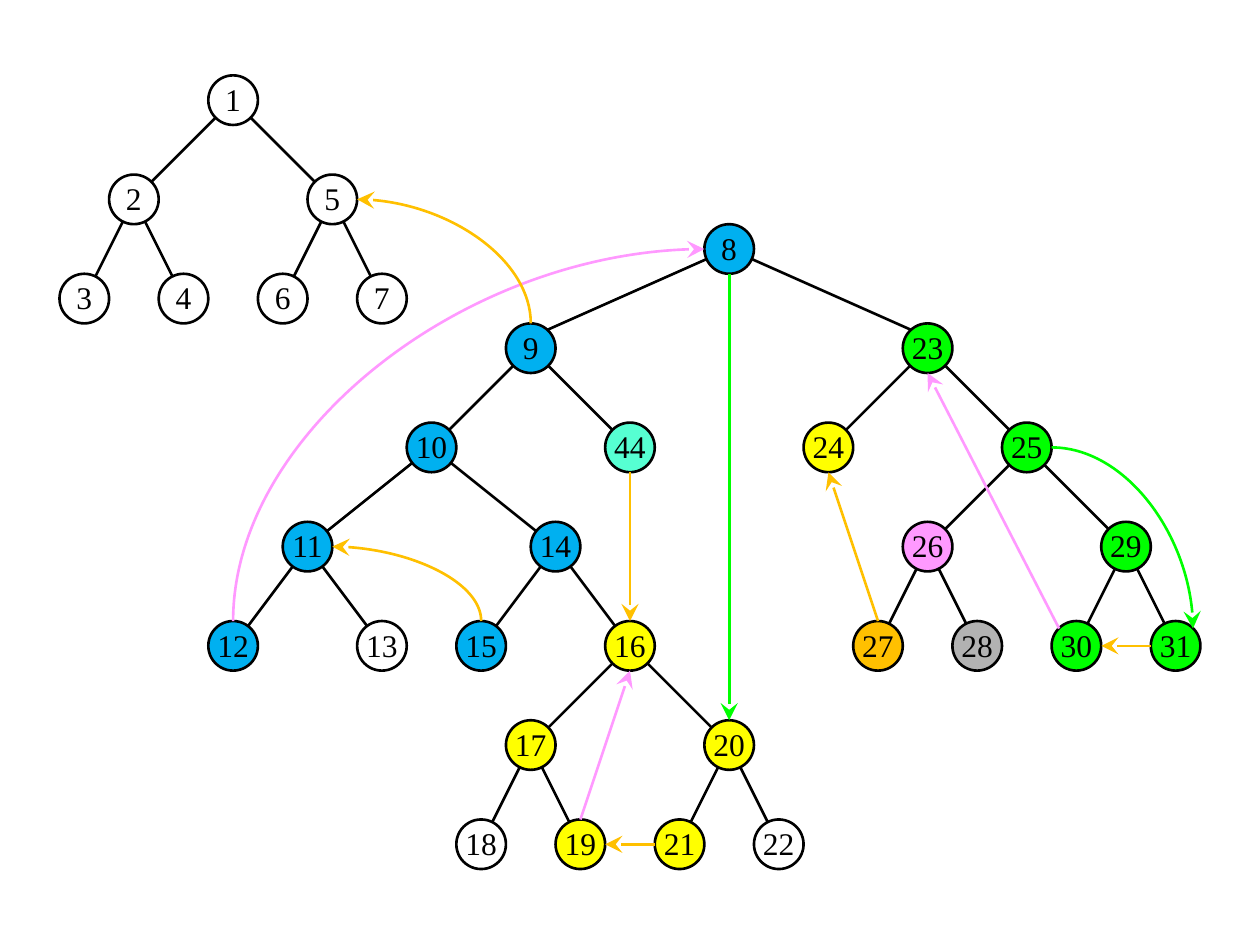
from math import copysign

from lxml.etree import SubElement
from pptx import Presentation
from pptx.dml.color import RGBColor
from pptx.enum.shapes import MSO_CONNECTOR, MSO_SHAPE
from pptx.enum.text import MSO_ANCHOR, PP_ALIGN
from pptx.oxml.ns import qn
from pptx.util import Pt

PX = 3600
CELL, LEVEL, RADIUS, DIAGONAL = 50, 200, 50, 35
BLACK, WHITE, GRAY = "000000", "FFFFFF", "B2B2B2"
BLUE, GREEN, YELLOW, ORANGE = "00B0F0", "00FF00", "FFFF00", "FFC000"
PINK, MINT = "FF99FF", "56FFD2"

SMALL_TREE = {
    1: (6, 0, None, WHITE),
    2: (2, 1, 1, WHITE), 5: (10, 1, 1, WHITE),
    3: (0, 2, 2, WHITE), 4: (4, 2, 2, WHITE),
    6: (8, 2, 5, WHITE), 7: (12, 2, 5, WHITE),
}
LARGE_TREE = {
    8: (20, 0, None, BLUE),
    9: (12, 1, 8, BLUE), 23: (28, 1, 8, GREEN),
    10: (8, 2, 9, BLUE), 44: (16, 2, 9, MINT),
    24: (24, 2, 23, YELLOW), 25: (32, 2, 23, GREEN),
    11: (3, 3, 10, BLUE), 14: (13, 3, 10, BLUE),
    26: (28, 3, 25, PINK), 29: (36, 3, 25, GREEN),
    12: (0, 4, 11, BLUE), 13: (6, 4, 11, WHITE),
    15: (10, 4, 14, BLUE), 16: (16, 4, 14, YELLOW),
    27: (26, 4, 26, ORANGE), 28: (30, 4, 26, GRAY),
    30: (34, 4, 29, GREEN), 31: (38, 4, 29, GREEN),
    17: (12, 5, 16, YELLOW), 20: (20, 5, 16, YELLOW),
    18: (10, 6, 17, WHITE), 19: (14, 6, 17, YELLOW),
    21: (18, 6, 20, YELLOW), 22: (22, 6, 20, WHITE),
}
SITES = {
    "top": (0, -RADIUS), "bottom": (0, RADIUS),
    "left": (-RADIUS, 0), "right": (RADIUS, 0),
    "top left": (-DIAGONAL, -DIAGONAL), "top right": (DIAGONAL, -DIAGONAL),
}
STRAIGHT_LINKS = [
    (44, "bottom", 16, "top", ORANGE),
    (27, "top", 24, "bottom", ORANGE),
    (8, "bottom", 20, "top", GREEN),
    (30, "top left", 23, "bottom", PINK),
    (19, "top", 16, "bottom", PINK),
    (21, "left", 19, "right", ORANGE),
    (31, "left", 30, "right", ORANGE),
]
CURVED_LINKS = [
    (12, "top", 8, "left", PINK),
    (25, "right", 31, "top right", GREEN),
    (15, "top", 11, "right", ORANGE),
    (9, "top", 5, "right", ORANGE),
]


def px(n):
    return round(n * PX)


def rgb(color):
    return RGBColor.from_string(color)


def add_line(s, start, end, color, kind=MSO_CONNECTOR.STRAIGHT):
    line = s.shapes.add_connector(kind, *map(px, (*start, *end)))
    line.line.color.rgb = rgb(color)
    line.line.width = Pt(1.5)
    SubElement(line._element.spPr, qn("a:effectLst"))
    return line


def add_arrowhead(line):
    ln = line._element.spPr.find(qn("a:ln"))
    SubElement(ln, qn("a:tailEnd"), type="stealth", w="lg", len="lg")


def add_node(s, number, center, color):
    x, y = center
    box = (x - RADIUS, y - RADIUS, 2 * RADIUS, 2 * RADIUS)
    sp = s.shapes.add_shape(MSO_SHAPE.OVAL, *map(px, box))
    sp.shadow.inherit = False
    sp.fill.solid()
    sp.fill.fore_color.rgb = rgb(color)
    sp.line.color.rgb = rgb(BLACK)
    sp.line.width = Pt(1.5)
    tf = sp.text_frame
    tf.text = str(number)
    tf.word_wrap = False
    tf.vertical_anchor = MSO_ANCHOR.MIDDLE
    tf.margin_left = tf.margin_right = px(25)
    tf.margin_top, tf.margin_bottom = px(10), px(15)
    p = tf.paragraphs[0]
    p.alignment = PP_ALIGN.CENTER
    font = p.runs[0].font
    font.name = "Times New Roman"
    font.size = Pt(18)
    font.color.rgb = rgb(BLACK)


def add_tree(s, left, top, nodes, root_flare=0):
    centers = {
        number: (left + RADIUS + column * CELL, top + RADIUS + level * LEVEL)
        for number, (column, level, _, _) in nodes.items()
    }
    for number, (_, level, parent, _) in nodes.items():
        if parent:
            x, y = centers[number]
            if level == 1:
                x += copysign(root_flare, x - centers[parent][0])
            add_line(s, (x, y), centers[parent], BLACK)
    for number, (_, _, _, color) in nodes.items():
        add_node(s, number, centers[number], color)
    return centers


def site_point(centers, number, site):
    return tuple(a + b for a, b in zip(centers[number], SITES[site]))


def add_curve(s, start, end, color, upward):
    (x1, y1), (x2, y2) = start, end
    if upward:
        cx, cy = (x1 + x2) / 2, (y1 + y2) / 2
        half_w, half_h = (y1 - y2) / 2, (x2 - x1) / 2
        start, end = (cx - half_w, cy - half_h), (cx + half_w, cy + half_h)
    line = add_line(s, start, end, color, MSO_CONNECTOR.CURVE)
    spPr = line._element.spPr
    spPr.find(qn("a:prstGeom")).set("prst", "curvedConnector2")
    if upward:
        spPr.find(qn("a:xfrm")).set("rot", str(270 * 60000))
    return line


def add_links(s, centers):
    for source, start, target, end, color in STRAIGHT_LINKS:
        add_arrowhead(add_line(s, site_point(centers, source, start),
                               site_point(centers, target, end), color))
    for source, start, target, end, color in CURVED_LINKS:
        add_arrowhead(add_curve(s, site_point(centers, source, start),
                                site_point(centers, target, end), color,
                                start == "top"))


def main():
    prs = Presentation()
    prs.slide_width, prs.slide_height = px(2540), px(1905)
    s = prs.slides.add_slide(prs.slide_layouts[6])
    centers = add_tree(s, 120, 152, SMALL_TREE)
    centers.update(add_tree(s, 420, 452, LARGE_TREE, root_flare=RADIUS))
    add_links(s, centers)
    prs.save("out.pptx")


if __name__ == "__main__":
    main()
